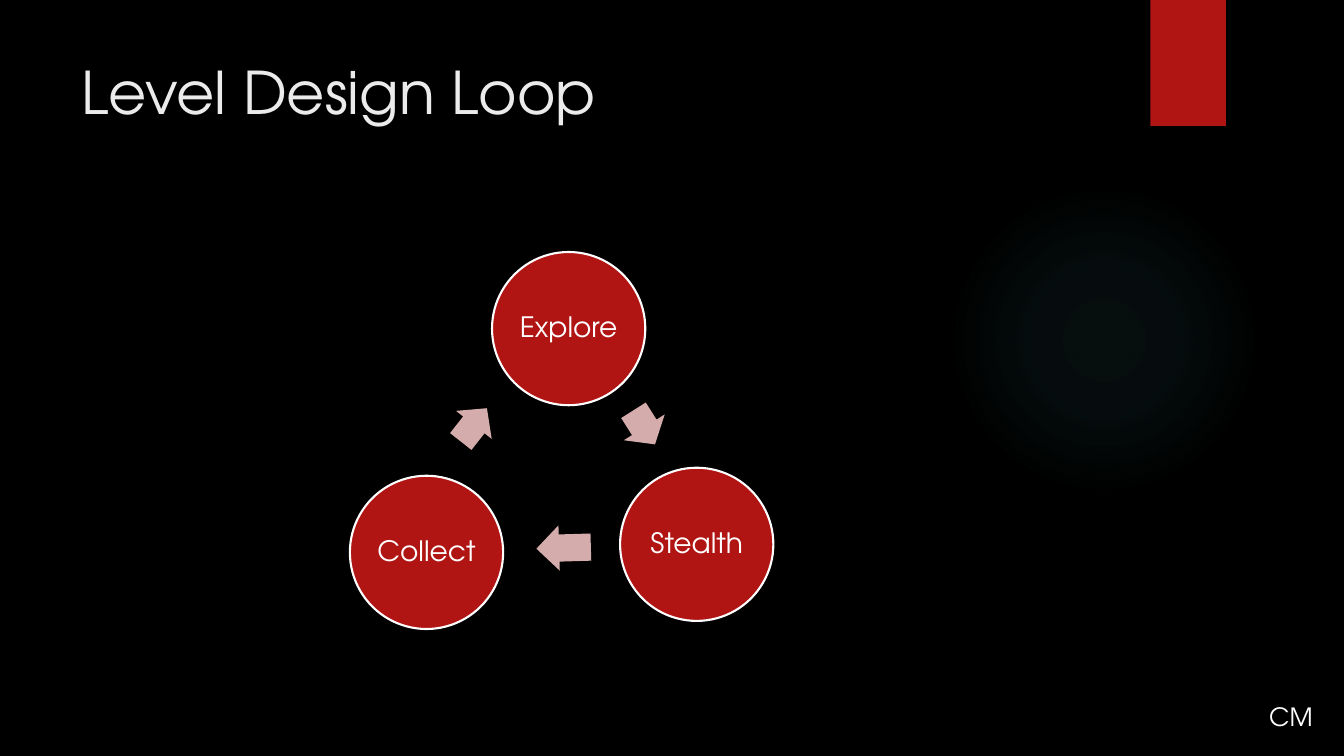
from typing import NamedTuple

from lxml.etree import fromstring
from pptx import Presentation
from pptx.dml.color import RGBColor as Rgb
from pptx.enum.shapes import MSO_SHAPE as Kind
from pptx.enum.text import MSO_ANCHOR as Anchor, MSO_AUTO_SIZE as Fit, PP_ALIGN as Align
from pptx.oxml.ns import nsdecls
from pptx.util import Inches, Pt

FONT = "TeX Gyre Adventor"
COLORS = {
    "back": "000000",
    "title": "EBEBEB",
    "red": "B01513",
    "arrow": "D4ACAB",
    "white": "FFFFFF",
    "glow": "50B9C1",
}
DISC = 1.52
GLOW = ((0, 7), (36, 6), (69, 0))  # stop and opacity, in percent


class Box(NamedTuple):
    left: float
    top: float
    width: float
    height: float


class Step(NamedTuple):
    name: str
    left: float
    top: float


class Arrow(NamedTuple):
    box: Box
    turn: float


STEPS = (
    Step("Explore", 4.88, 2.5),
    Step("Stealth", 6.15, 4.64),
    Step("Collect", 3.47, 4.72),
)
ARROWS = (
    Arrow(Box(6.19, 4, 0.4, 0.48), 57.7),
    Arrow(Box(5.32, 5.21, 0.54, 0.45), 178.3),
    Arrow(Box(4.49, 3.99, 0.42, 0.45), 308.2),
)


def tint(name: str) -> Rgb:
    return Rgb.from_string(COLORS[name])


def lengths(box: Box) -> list:
    return [Inches(side) for side in box]


def write(frame, text: str, size: float, color: str, align=Align.LEFT):
    para = frame.paragraphs[0]
    para.alignment = align
    run = para.add_run()
    run.text = text
    run.font.name = FONT
    run.font.size = Pt(size)
    run.font.color.rgb = tint(color)
    return para


def add_shape(slide, kind: Kind, box: Box, color: str):
    shape = slide.shapes.add_shape(kind, *lengths(box))
    shape.shadow.inherit = False
    shape.fill.solid()
    shape.fill.fore_color.rgb = tint(color)
    shape.line.fill.background()
    return shape


def add_glow(slide, box: Box) -> None:
    """Draw a disc that fades out from its centre."""
    disc = add_shape(slide, Kind.OVAL, box, "glow")
    stops = "".join(
        f'<a:gs pos="{stop * 1000}"><a:srgbClr val="{COLORS["glow"]}">'
        f'<a:alpha val="{alpha * 1000}"/></a:srgbClr></a:gs>'
        for stop, alpha in GLOW
    )
    fade = fromstring(
        f'<a:gradFill {nsdecls("a")} rotWithShape="1"><a:gsLst>{stops}</a:gsLst>'
        '<a:path path="circle"><a:fillToRect l="50000" t="50000" r="50000" b="50000"/>'
        "</a:path></a:gradFill>"
    )
    props = disc.element.spPr
    props.replace(props.find("{*}solidFill"), fade)


def add_title(slide, text: str) -> None:
    title = slide.shapes.title
    title.left, title.top, title.width, title.height = lengths(Box(0.71, 0.5, 10.29, 1.53))
    frame = title.text_frame
    frame.auto_size = Fit.NONE
    frame.vertical_anchor = Anchor.TOP
    write(frame, text, 42, "title")


def add_step(slide, step: Step) -> None:
    disc = add_shape(slide, Kind.OVAL, Box(step.left, step.top, DISC, DISC), "red")
    disc.line.color.rgb = tint("white")
    disc.line.width = Pt(1.5)
    frame = disc.text_frame
    frame.margin_left = frame.margin_right = Inches(0.03)
    frame.margin_top = frame.margin_bottom = Inches(0.03)
    frame.vertical_anchor = Anchor.MIDDLE
    frame.word_wrap = True
    write(frame, step.name, 20, "white", Align.CENTER).line_spacing = 0.9


def add_arrow(slide, arrow: Arrow) -> None:
    shape = add_shape(slide, Kind.RIGHT_ARROW, arrow.box, "arrow")
    shape.adjustments[0] = 0.6
    shape.adjustments[1] = 0.5
    shape.rotation = arrow.turn


def add_mark(slide, text: str) -> None:
    frame = slide.shapes.add_textbox(*lengths(Box(12.49, 6.91, 0.64, 0.4))).text_frame
    frame.word_wrap = True
    frame.auto_size = Fit.SHAPE_TO_FIT_TEXT
    write(frame, text, 18, "white")


def main() -> None:
    deck = Presentation()
    deck.slide_width = Inches(13.33)
    deck.slide_height = Inches(7.5)
    slide = deck.slides.add_slide(deck.slide_layouts.get_by_name("Title Only"))
    slide.background.fill.solid()
    slide.background.fill.fore_color.rgb = tint("back")

    add_glow(slide, Box(9.41, 1.83, 3.08, 3.08))
    add_shape(slide, Kind.RECTANGLE, Box(11.41, 0, 0.75, 1.25), "red")
    add_title(slide, "Level Design Loop")
    for step, arrow in zip(STEPS, ARROWS):
        add_step(slide, step)
        add_arrow(slide, arrow)
    add_mark(slide, "CM")
    deck.save("out.pptx")


if __name__ == "__main__":
    main()
